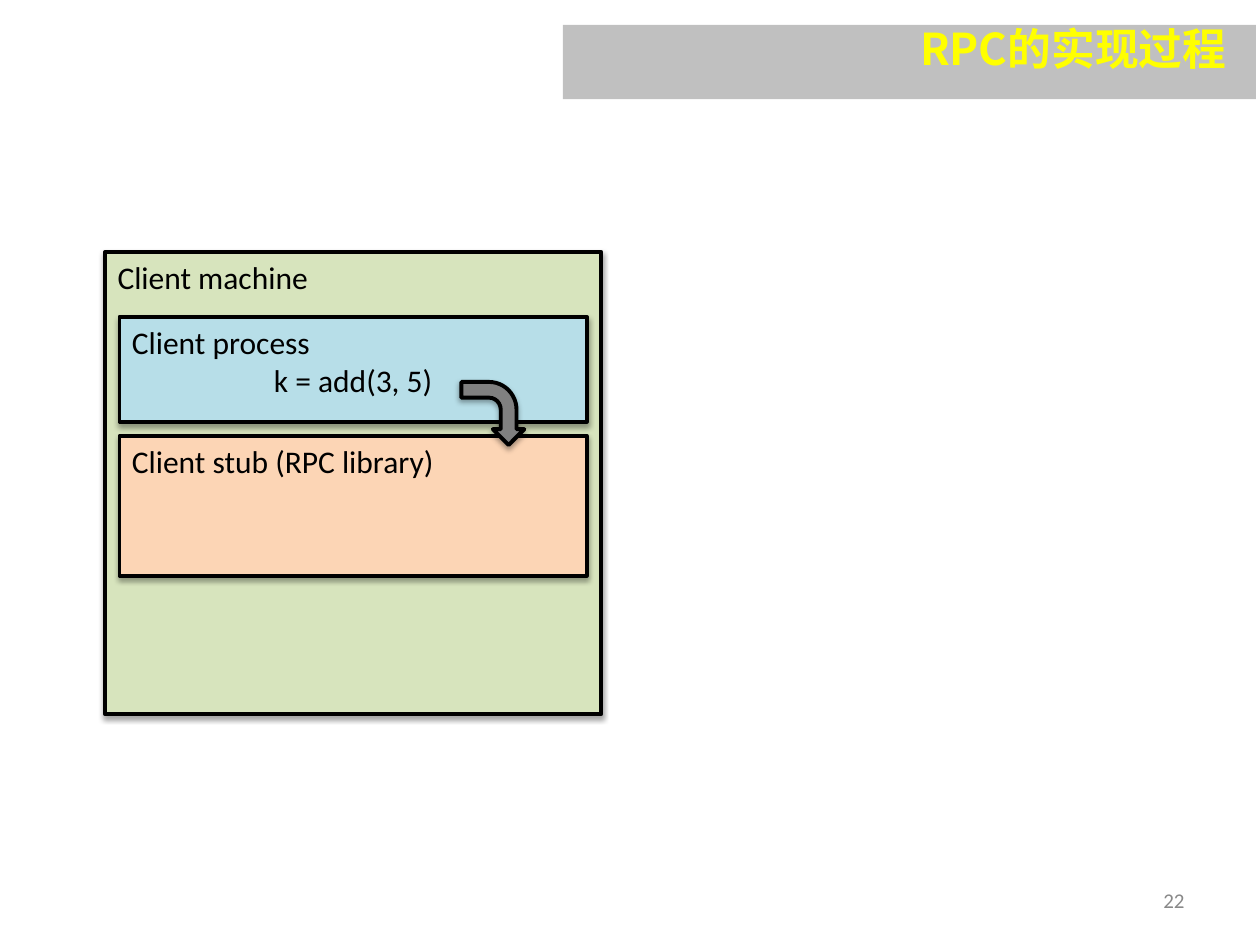
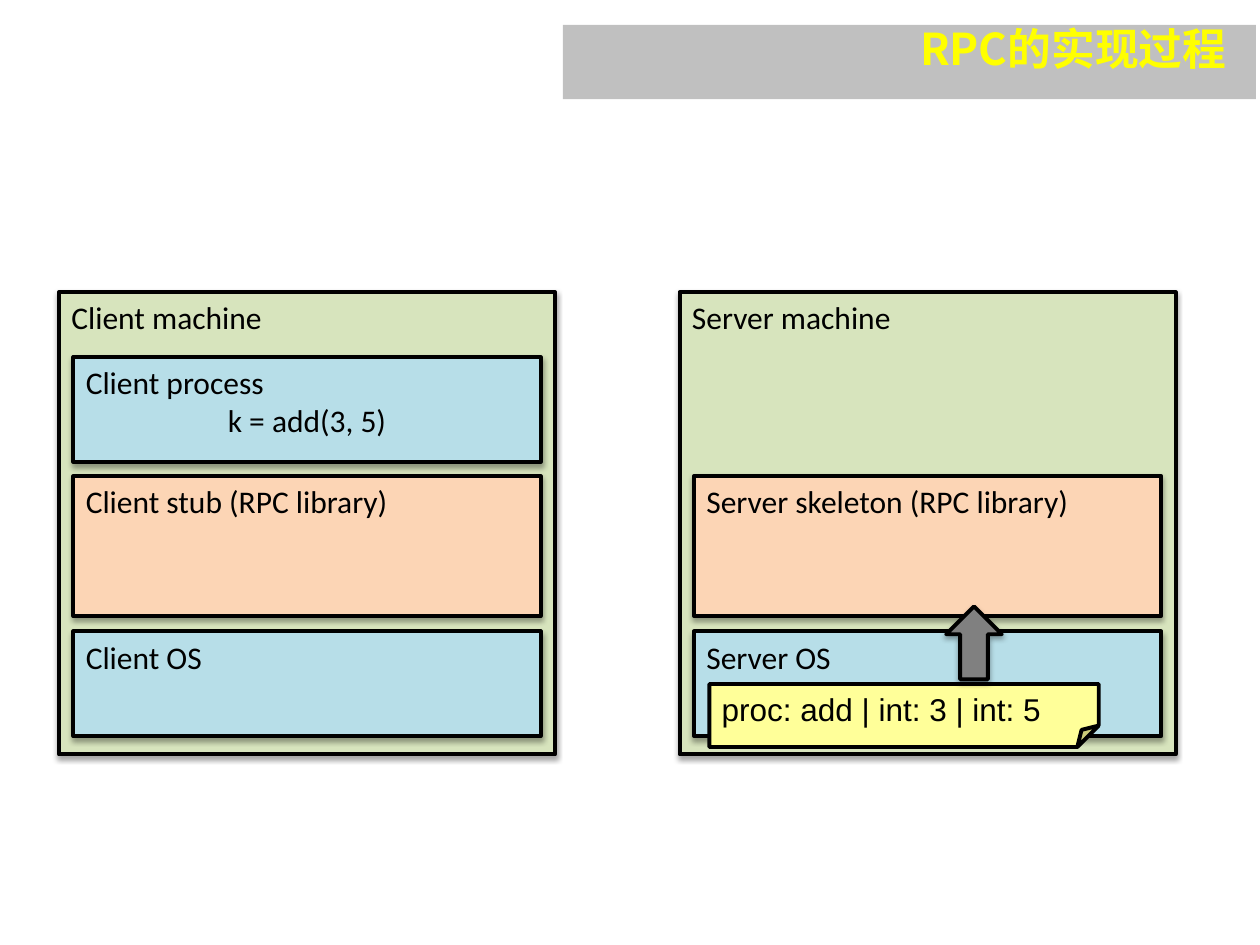
from dataclasses import dataclass

from lxml import etree
from pptx import Presentation
from pptx import util as u
from pptx.dml.color import RGBColor
from pptx.enum import shapes, text
from pptx.oxml import ns

Cm, Pt = u.Cm, u.Pt
Kind = shapes.MSO_SHAPE
Align = text.PP_ALIGN
Anchor = text.MSO_ANCHOR


@dataclass(frozen=True)
class Theme:
    band: str = "C0C0C0"
    title: str = "FFFF00"
    ink: str = "000000"
    page: str = "898989"
    green: str = "D7E4BD"
    blue: str = "B7DEE8"
    peach: str = "FCD5B5"
    note: str = "FFFF99"
    arrow: str = "808080"
    head_font: str = "Noto Sans CJK SC"
    body_font: str = "Calibri"
    note_font: str = "Arial"
    head_size: int = 25
    body_size: int = 18
    page_size: int = 12
    line: float = 2.25


T = Theme()


@dataclass(frozen=True)
class Layer:
    """A band inside a machine; top is measured from the machine's top."""
    top: float
    high: float
    fill: str


@dataclass(frozen=True)
class Item:
    left: float
    top: float
    wide: float
    high: float
    fill: str
    label: str = ""
    kind: Kind = Kind.RECTANGLE
    turn: int = 0
    font: str = T.body_font
    shade: bool = True


WIDE, HIGH, PAD = 10.0, 9.32, 0.29
PROC = Layer(1.31, 2.11, T.blue)
STUB = Layer(3.71, 2.82, T.peach)
SYS = Layer(6.84, 2.11, T.blue)
CALL = "Client process\nk = add(3, 5)"


def style(para, font: str, size: int, color: str, bold: bool = False) -> None:
    for run in para.runs:
        face = run.font
        face.name, face.size, face.bold = font, Pt(size), bold
        face.color.rgb = RGBColor.from_string(color)
        east = etree.SubElement(run._r.get_or_add_rPr(), ns.qn("a:ea"))
        east.set("typeface", font)


def shade(shape) -> None:
    """Give the shape a soft shadow straight below it."""
    group = shape.element.spPr.find(ns.qn("a:effectLst"))
    drop = etree.SubElement(group, ns.qn("a:outerShdw"), blurRad=str(Pt(3.1)),
                            dist=str(Pt(1.8)), dir="5400000", rotWithShape="0")
    color = etree.SubElement(drop, ns.qn("a:srgbClr"), val=T.ink)
    etree.SubElement(color, ns.qn("a:alpha"), val="35000")


def fold(shape, share: float) -> None:
    """Set how much of the note's height its folded corner takes."""
    rules = next(shape.element.spPr.iter(ns.qn("a:avLst")))
    etree.SubElement(rules, ns.qn("a:gd"), name="adj",
                     fmla=f"val {round(share * 100000)}")


def draw(slide, item: Item):
    shape = slide.shapes.add_shape(item.kind, Cm(item.left), Cm(item.top),
                                   Cm(item.wide), Cm(item.high))
    shape.shadow.inherit = False
    shape.rotation = item.turn
    shape.fill.solid()
    shape.fill.fore_color.rgb = RGBColor.from_string(item.fill)
    shape.line.color.rgb = RGBColor.from_string(T.ink)
    shape.line.width = Pt(T.line)
    if item.shade:
        shade(shape)
    if item.label:
        frame = shape.text_frame
        frame.text = item.label
        frame.vertical_anchor = Anchor.TOP
        for row, para in enumerate(frame.paragraphs):
            para.alignment = Align.CENTER if row else Align.LEFT
            style(para, item.font, T.body_size, T.ink)
    return shape


def machine(slide, left: float, top: float, name: str,
            parts: list[tuple[Layer, str]]) -> None:
    draw(slide, Item(left, top, WIDE, HIGH, T.green, name))
    for layer, label in parts:
        draw(slide, Item(left + PAD, top + layer.top, WIDE - 2 * PAD,
                         layer.high, layer.fill, label))


def add_band(slide, layout) -> None:
    """Draw the title band and hand it to the layout, so all slides share it."""
    band = slide.shapes.add_shape(Kind.RECTANGLE, Cm(11.35), Cm(0.5),
                                  Cm(13.97), Cm(1.5))
    band.shadow.inherit = False
    band.fill.solid()
    band.fill.fore_color.rgb = RGBColor.from_string(T.band)
    band.line.fill.background()
    band.element.nvSpPr.cNvPr.set("id", "20")
    layout.shapes.element.append(band.element)


def add_slide(deck, layout):
    slide = deck.slides.add_slide(layout)
    head = slide.shapes.title
    head.left, head.top = Cm(13.34), Cm(0.43)
    head.width, head.height = Cm(11.63), Cm(1.07)
    frame = head.text_frame
    frame.text = "RPC的实现过程"
    frame.auto_size = text.MSO_AUTO_SIZE.NONE
    frame.vertical_anchor = Anchor.MIDDLE
    para = frame.paragraphs[0]
    para.alignment = Align.RIGHT
    style(para, T.head_font, T.head_size, T.title, True)
    return slide


def add_page(slide, number: int) -> None:
    box = slide.shapes.add_textbox(Cm(18.2), Cm(17.65), Cm(5.93), Cm(1.01))
    frame = box.text_frame
    frame.word_wrap = True
    frame.text = str(number)
    frame.vertical_anchor = Anchor.MIDDLE
    para = frame.paragraphs[0]
    para.alignment = Align.RIGHT
    style(para, T.body_font, T.page_size, T.page)


def main() -> None:
    deck = Presentation()
    deck.slide_width, deck.slide_height = Cm(25.4), Cm(19.05)
    layout = deck.slide_layouts[5]

    call = add_slide(deck, layout)
    add_band(call, layout)
    add_page(call, 22)
    client = [(PROC, CALL), (STUB, "Client stub (RPC library)")]
    machine(call, 2.12, 5.08, "Client machine", client)
    draw(call, Item(9.3, 7.7, 1.27, 1.27, T.arrow,
                    kind=Kind.BENT_ARROW, turn=90))

    reach = add_slide(deck, layout)
    machine(reach, 1.19, 5.89, "Client machine",
            client + [(SYS, "Client OS")])
    machine(reach, 13.7, 5.89, "Server machine",
            [(STUB, "Server skeleton (RPC library)"), (SYS, "Server OS")])
    note = draw(reach, Item(14.3, 13.79, 7.85, 1.27, T.note,
                            "proc: add | int: 3 | int: 5",
                            Kind.FOLDED_CORNER, font=T.note_font, shade=False))
    fold(note, 0.34)
    draw(reach, Item(18.9, 12.4, 1.47, 1.12, T.arrow,
                     kind=Kind.RIGHT_ARROW, turn=270))

    deck.save("out.pptx")


if __name__ == "__main__":
    main()
